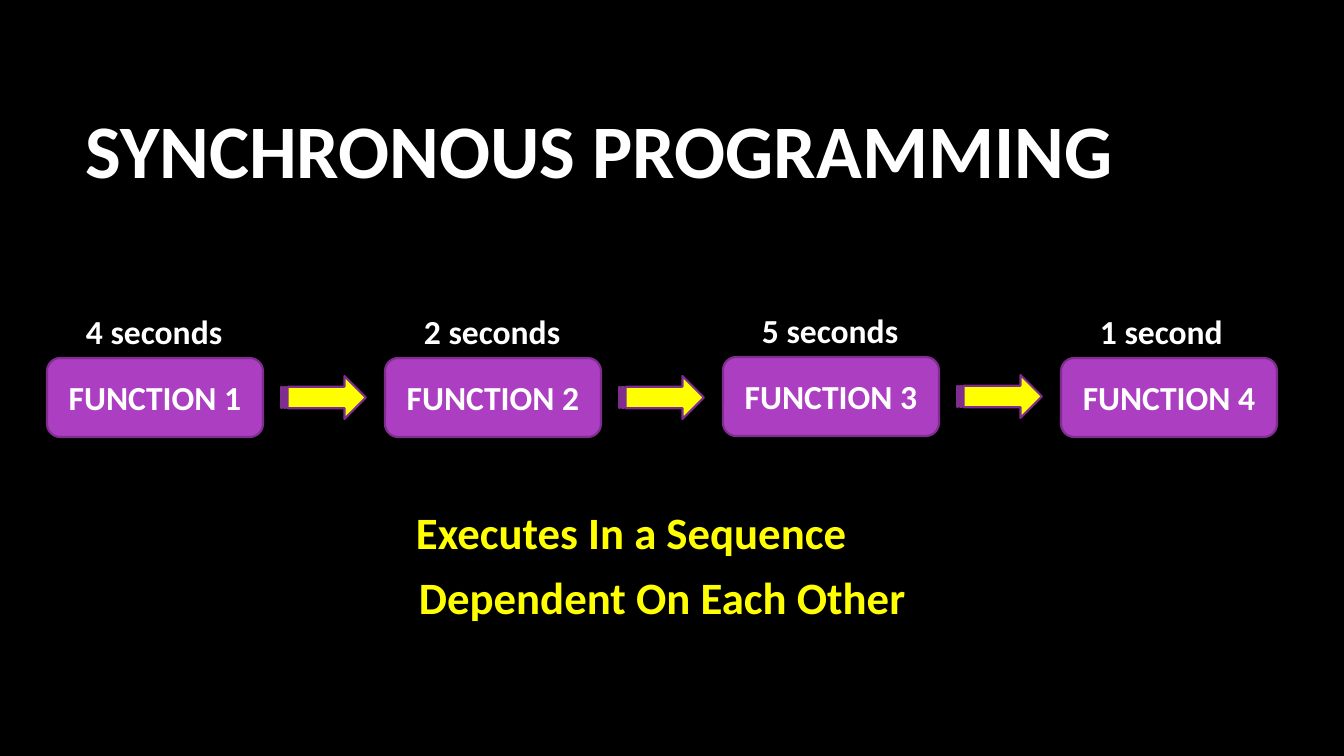
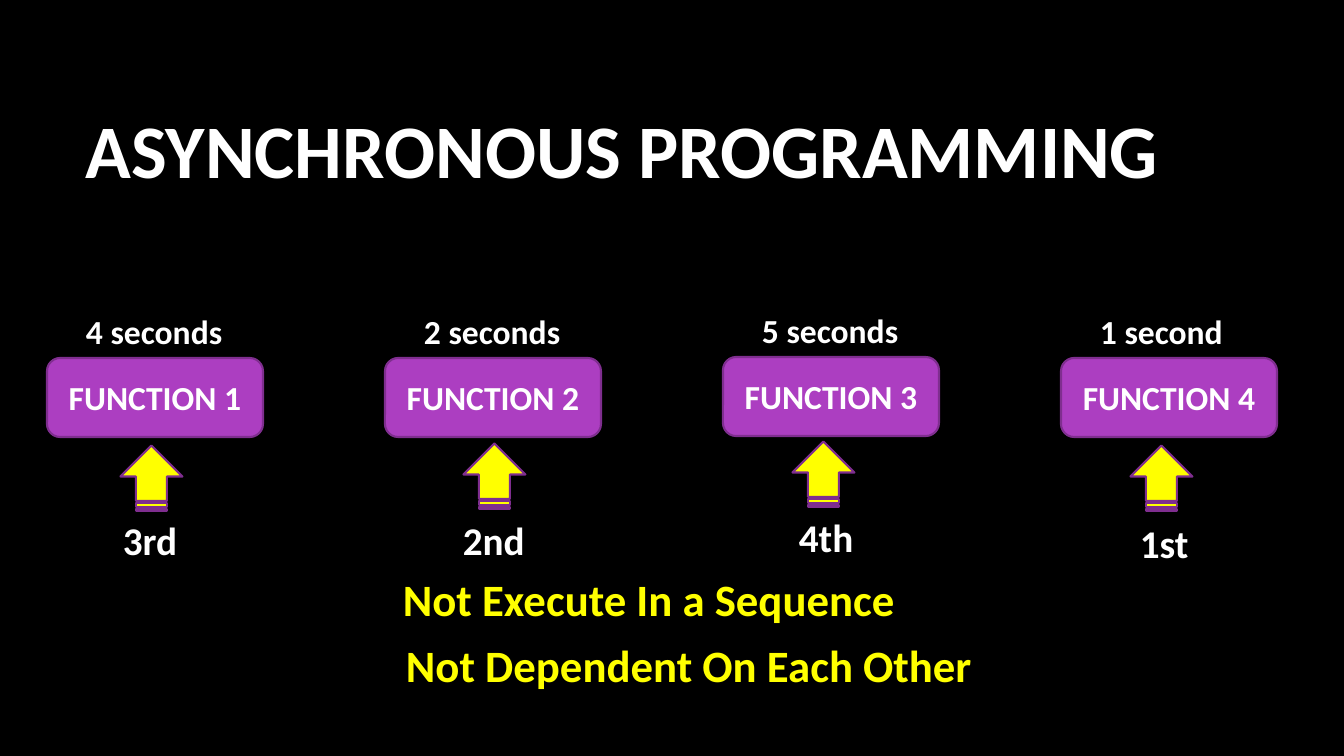
"""Build two slides that compare synchronous and asynchronous programming."""
from pptx import Presentation
from pptx.dml.color import RGBColor
from pptx.enum.shapes import MSO_SHAPE as Preset
from pptx.enum.text import MSO_ANCHOR as Anchor, MSO_AUTO_SIZE as AutoSize, PP_ALIGN as Align
from pptx.util import Emu, Pt

WIDTH, HEIGHT = 1344, 756
SCALE = 12192000 / WIDTH
FONT = "Calibri"
COLOURS = {
    "background": "000000",
    "text": "FFFFFF",
    "accent": "FFFF00",
    "function": "AC3EC1",
    "outline": "7F2E8F",
}
PITCH = 338
DURATIONS = [("4 seconds", 158), ("2 seconds", 158), ("5 seconds", 158), ("1 second", 144)]
LIFTS = [0, 0, 1, 0]
RANKS = [
    ("3rd", (113, 511, 76, 57), (119, 447)),
    ("2nd", (453, 511, 83, 57), (462, 445)),
    ("4th", (789, 508, 76, 57), (791, 443)),
    ("1st", (1130, 514, 70, 57), (1129, 447)),
]


def px(length):
    """Turn pixels into EMU."""
    return Emu(round(length * SCALE))


def colour(name):
    """Look up a palette colour."""
    return RGBColor.from_string(COLOURS[name])


def write(frame, wording, size, tint="text", align=Align.LEFT):
    """Set one bold paragraph in a text frame."""
    frame.text = wording
    line = frame.paragraphs[0]
    line.alignment = align
    font = line.runs[0].font
    font.name, font.size, font.bold = FONT, Pt(size), True
    font.color.rgb = colour(tint)


def add_label(slide, wording, place, size, tint="text"):
    """Add an unwrapped label that fits its wording."""
    frame = slide.shapes.add_textbox(*map(px, place)).text_frame
    frame.word_wrap = False
    frame.auto_size = AutoSize.SHAPE_TO_FIT_TEXT
    write(frame, wording, size, tint)


def add_block(slide, preset, place, fill):
    """Add a filled, outlined preset shape."""
    block = slide.shapes.add_shape(preset, *map(px, place))
    block.shadow.inherit = False
    block.fill.solid()
    block.fill.fore_color.rgb = colour(fill)
    block.line.color.rgb = colour("outline")
    block.line.width = Pt(1.5)
    return block


def add_arrow(slide, place, rotation=0):
    """Add a striped yellow arrow."""
    add_block(slide, Preset.STRIPED_RIGHT_ARROW, place, "accent").rotation = rotation


def add_functions(slide):
    """Add the row of functions with their durations."""
    for index, ((duration, width), lift) in enumerate(zip(DURATIONS, LIFTS)):
        shift = index * PITCH
        function = add_block(slide, Preset.ROUNDED_RECTANGLE,
                             (47 + shift, 358 - lift, 216, 79), "function")
        function.text_frame.vertical_anchor = Anchor.MIDDLE
        write(function.text_frame, f"FUNCTION {index + 1}", 24, align=Align.CENTER)
        add_label(slide, duration, (76 + shift, 306 - lift, width, 50), 24)


def add_topic(deck, title, traits):
    """Add a slide with its title, function row and traits."""
    slide = deck.slides.add_slide(deck.slide_layouts[6])
    slide.background.fill.solid()
    slide.background.fill.fore_color.rgb = colour("background")
    heading = slide.shapes.add_textbox(*map(px, (76, 68, 1117, 160))).text_frame
    heading.word_wrap = True
    heading.vertical_anchor = Anchor.MIDDLE
    write(heading, title, 54)
    add_functions(slide)
    for trait, place in traits:
        add_label(slide, trait, place, 32, "accent")
    return slide


def add_sequence(slide):
    """Link neighbouring functions with arrows."""
    for index, lift in enumerate(LIFTS[:-1]):
        add_arrow(slide, (281 + index * PITCH, 376 - lift, 85, 43))


def add_ranks(slide):
    """Point to each function from its finishing rank."""
    for rank, place, corner in RANKS:
        add_arrow(slide, (*corner, 65, 62), 270)
        add_label(slide, rank, place, 28)


def main():
    """Build and save the deck."""
    deck = Presentation()
    deck.slide_width, deck.slide_height = px(WIDTH), px(HEIGHT)
    add_sequence(add_topic(deck, "SYNCHRONOUS PROGRAMMING", [
        ("Executes In a Sequence", (406, 500, 455, 64)),
        ("Dependent On Each Other", (409, 565, 511, 64)),
    ]))
    add_ranks(add_topic(deck, "ASYNCHRONOUS PROGRAMMING", [
        ("Not Execute In a Sequence", (393, 567, 517, 64)),
        ("Not Dependent On Each Other", (396, 633, 592, 64)),
    ]))
    deck.save("out.pptx")


main()
